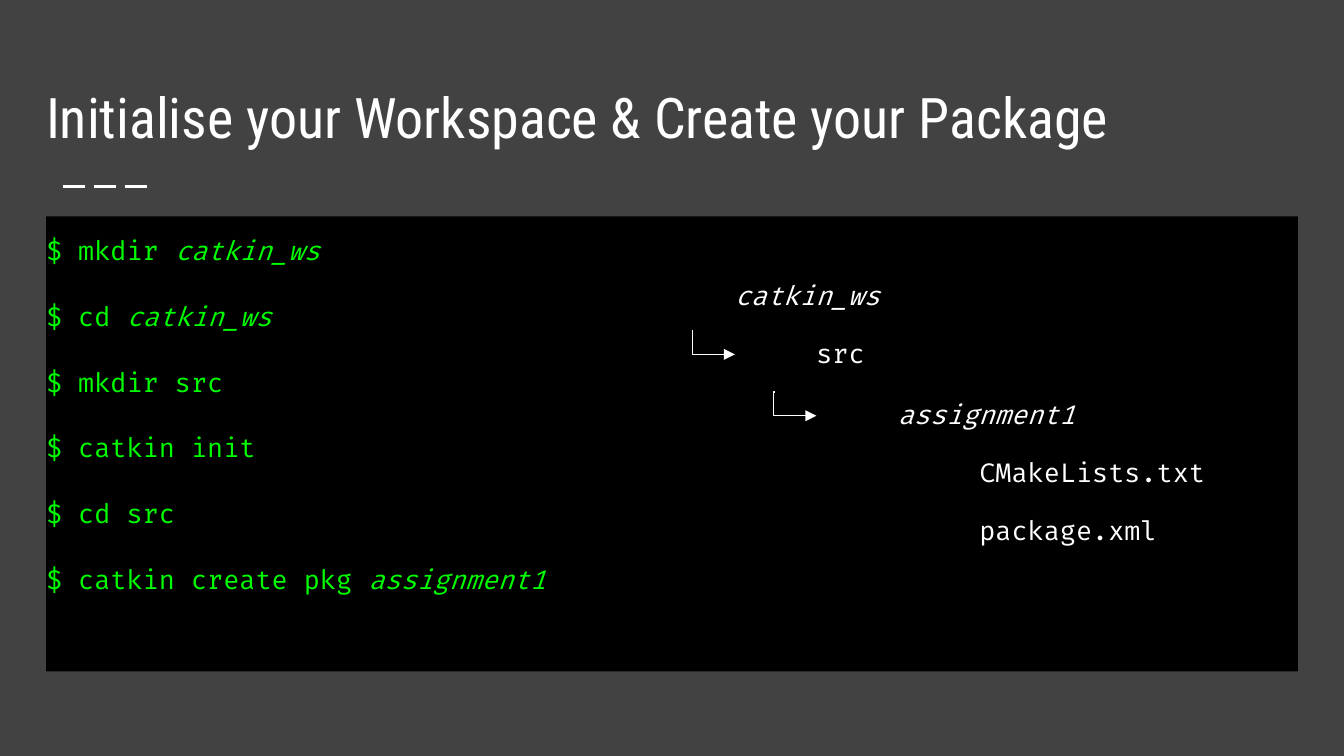
from dataclasses import dataclass

from lxml.etree import SubElement as Sub
from pptx import Presentation
from pptx.dml.color import RGBColor as Rgb
from pptx.enum.dml import MSO_LINE as Dash
from pptx.enum.shapes import MSO_CONNECTOR as Link
from pptx.enum.text import MSO_ANCHOR as Anchor
from pptx.enum.text import MSO_AUTO_SIZE as Fit
from pptx.enum.text import PP_ALIGN as Align
from pptx.oxml.ns import qn
from pptx.util import Cm, Pt


@dataclass(frozen=True)
class Theme:
    back: Rgb = Rgb(0x42, 0x42, 0x42)
    panel: Rgb = Rgb(0, 0, 0)
    text: Rgb = Rgb(0xFF, 0xFF, 0xFF)
    shell: Rgb = Rgb(0, 0xFF, 0)
    head: str = "Roboto Condensed"
    mono: str = "Fira Code"
    big: int = 30
    small: int = 14
    gap: int = 16


LOOK = Theme()
HEAD = (0.87, 1.05, 23.66, 2.04)
RULE = (1.19, 3.53, 1.7, 0)
PANEL = (0.87, 4.09, 23.66, 8.6)
TREE = (13.64, 5, 9.6, 5.6)

STEPS = [
    ("$ mkdir ", "catkin_ws"),
    ("$ cd ", "catkin_ws"),
    ("$ mkdir src", ""),
    ("$ catkin init", ""),
    ("$ cd src", ""),
    ("$ catkin create pkg ", "assignment1"),
]

NODES = [
    ("catkin_ws", 0, 0, 3.66, True),
    ("src", 1, 1.1, 3.66, False),
    ("assignment1", 2, 2.26, 3.86, True),
    ("CMakeLists.txt", 3, 3.36, 4.98, False),
    ("package.xml", 3, 4.45, 4.34, False),
]


def place(shape, box):
    shape.left, shape.top, shape.width, shape.height = map(Cm, box)


def style(font, name, size, color):
    font.name, font.size = name, Pt(size)
    font.color.rgb = color


def setup(frame, side, anchor):
    frame.word_wrap = True
    frame.auto_size = Fit.NONE
    frame.margin_left = frame.margin_right = Cm(side)
    frame.margin_top = frame.margin_bottom = Cm(0.25)
    frame.vertical_anchor = anchor


def draw_line(slide, kind, box, width):
    x, y, w, h = box
    line = slide.shapes.add_connector(kind, Cm(x), Cm(y), Cm(x + w), Cm(y + h))
    line.line.color.rgb = LOOK.text
    line.line.width = Pt(width)
    Sub(line._element.spPr, qn("a:effectLst"))
    return line


def draw_head(slide, box, rule):
    title = slide.shapes.title
    place(title, box)
    setup(title.text_frame, 0, Anchor.BOTTOM)
    title.text_frame.text = "Initialise your Workspace & Create your Package"
    para = title.text_frame.paragraphs[0]
    para.alignment = Align.LEFT
    style(para.font, LOOK.head, LOOK.big, LOOK.text)
    line = draw_line(slide, Link.STRAIGHT, rule, 1.5)
    line.line.dash_style = Dash.LONG_DASH


def draw_shell(slide, box):
    body = slide.placeholders[1]
    place(body, box)
    body.fill.solid()
    body.fill.fore_color.rgb = LOOK.panel
    frame = body.text_frame
    setup(frame, 0, Anchor.TOP)
    for i, (code, name) in enumerate(STEPS):
        para = frame.add_paragraph() if i else frame.paragraphs[0]
        props = para._p.get_or_add_pPr()
        props.set("marL", "0")
        props.set("indent", "0")
        Sub(props, qn("a:buNone"))
        para.line_spacing = 1.15
        para.space_before = Pt(LOOK.gap if i else 0)
        para.space_after = Pt(0)
        style(para.font, LOOK.mono, LOOK.small, LOOK.shell)
        para.add_run().text = code
        if name:
            run = para.add_run()
            run.text = name
            run.font.italic = True


def draw_arrow(slide, box):
    arrow = draw_line(slide, Link.ELBOW, box, 0.75)
    props = arrow._element.spPr
    bend = props.find(qn("a:prstGeom")).find(qn("a:avLst"))
    Sub(bend, qn("a:gd"), name="adj1", fmla="val -2000")
    Sub(props.find(qn("a:ln")), qn("a:tailEnd"), type="triangle")


def draw_tree(slide, box):
    left, top, _, _ = box
    step = 1.54
    for name, depth, drop, width, slant in NODES:
        x, y = left + depth * step, top + drop
        label = slide.shapes.add_textbox(Cm(x), Cm(y), Cm(width), Cm(1.14))
        setup(label.text_frame, 0.25, Anchor.MIDDLE)
        para = label.text_frame.paragraphs[0]
        para.text = name
        style(para.font, LOOK.mono, LOOK.small, LOOK.text)
        para.font.italic = slant
        if depth in (1, 2):
            draw_arrow(slide, (x - step - 0.54, y + 0.15, 0.79, 0.45))


def main():
    deck = Presentation()
    deck.slide_width, deck.slide_height = Cm(25.4), Cm(14.29)
    slide = deck.slides.add_slide(deck.slide_layouts[1])
    slide.background.fill.solid()
    slide.background.fill.fore_color.rgb = LOOK.back
    draw_head(slide, HEAD, RULE)
    draw_shell(slide, PANEL)
    draw_tree(slide, TREE)
    deck.save("out.pptx")


if __name__ == "__main__":
    main()
